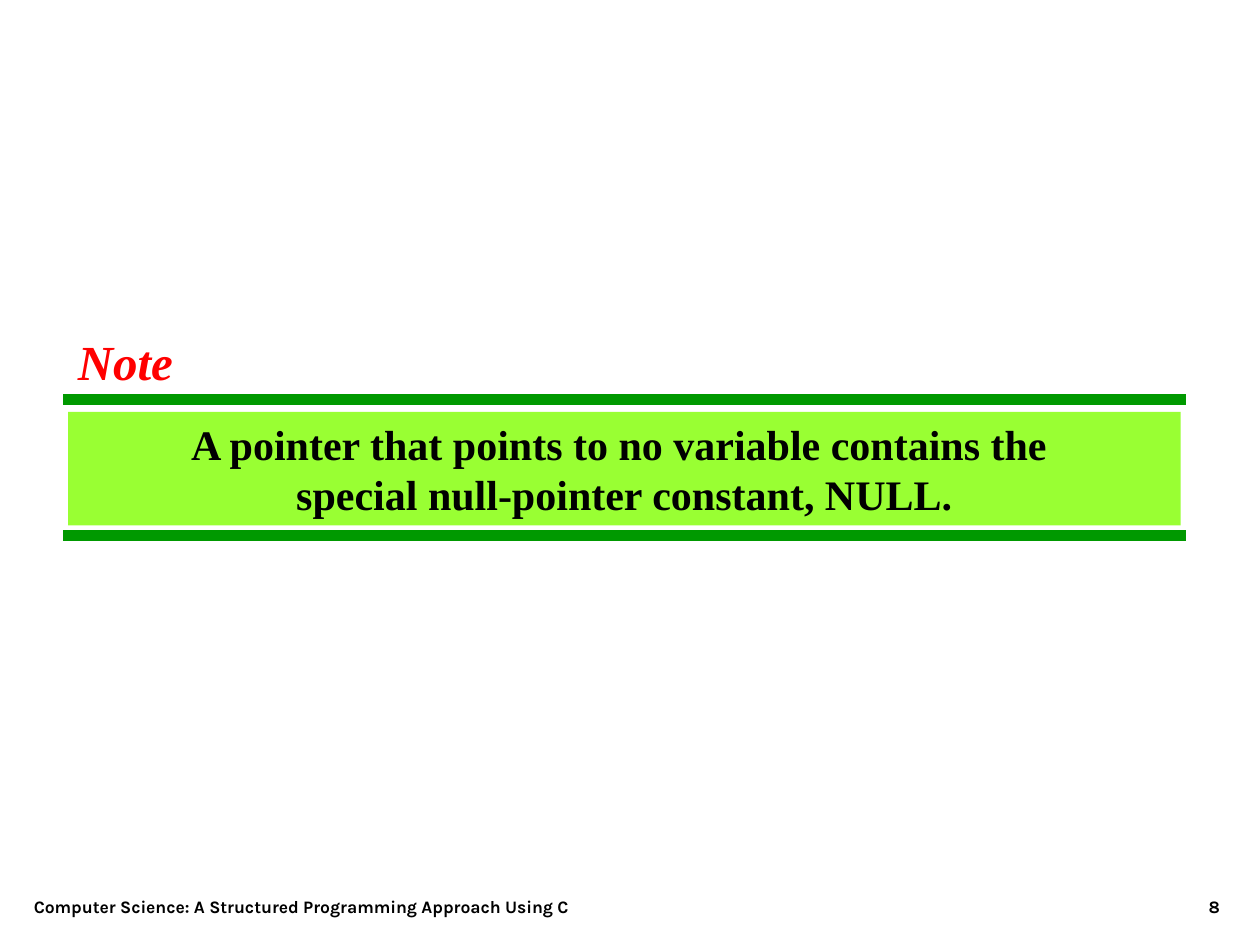
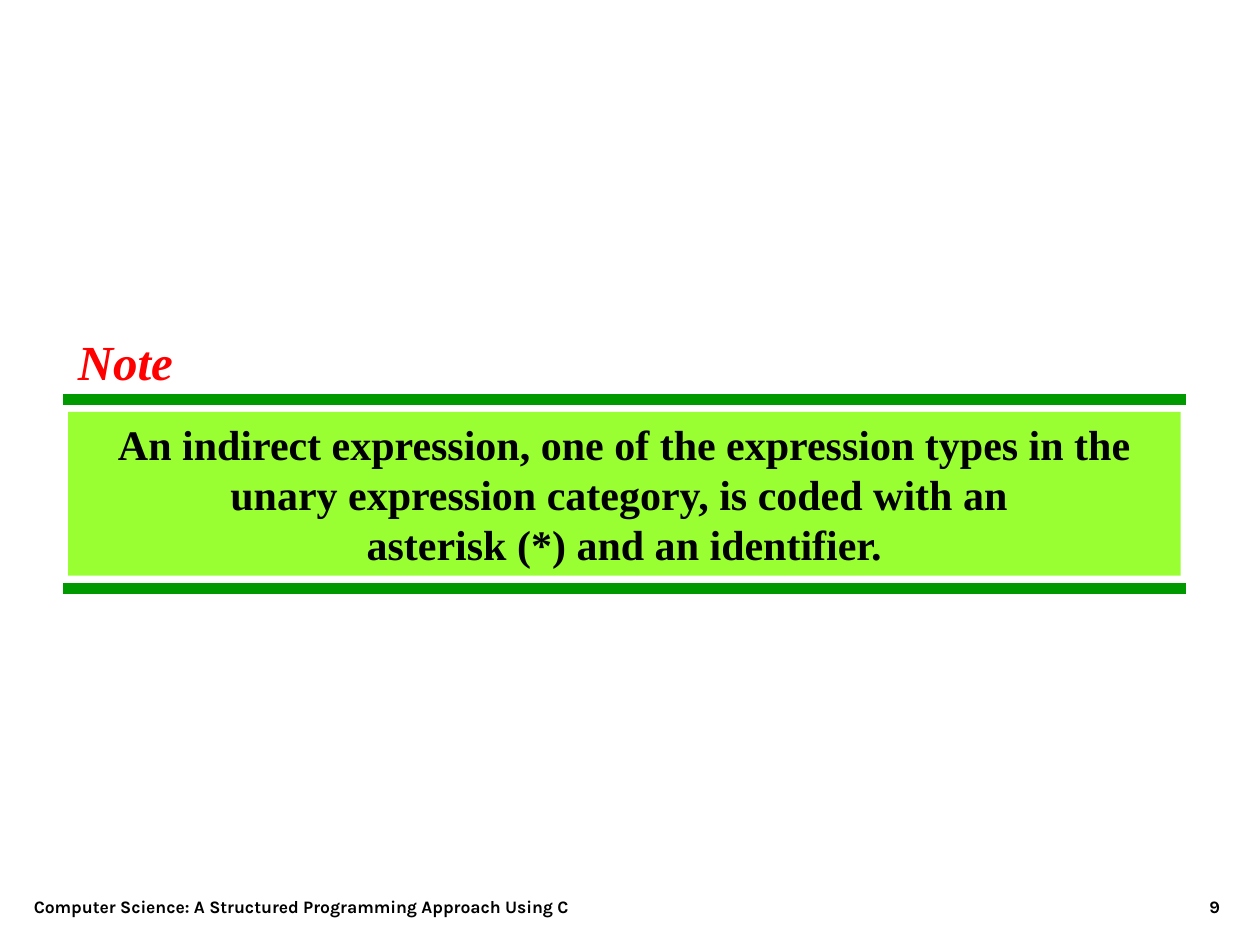
import pptx
import pptx.util
import pptx.dml.color
import pptx.enum.shapes
import pptx.enum.text
import pptx.oxml.ns
from lxml import etree

Inches = pptx.util.Inches
ALIGN = pptx.enum.text.PP_ALIGN
ANCHOR = pptx.enum.text.MSO_ANCHOR
FIT = pptx.enum.text.MSO_AUTO_SIZE

# Content: slide number, text, count of text lines, height of lower rule
NOTES = [
    (8, "A pointer that points to no variable contains the \n"
        "special null-pointer constant, NULL.", 2, 4.25),
    (9, "An indirect expression, one of the expression types in the "
        "unary expression category, is coded with an \n"
        "asterisk (*) and an identifier.", 3, 4.67),
]
TITLE = "Note"
FOOTER = "Computer Science: A Structured Programming Approach Using C"

# Shared look
COLORS = {"text": "000000", "title": "FF0000", "rule": "009900", "box": "99FF33"}
STYLES = {
    "foot": ({"name": "Karla", "size": pptx.util.Pt(10), "bold": True}, "text"),
    "title": ({"name": "Times New Roman", "size": pptx.util.Pt(28),
               "bold": True, "italic": True}, "title"),
    "body": ({"name": "Times New Roman", "size": pptx.util.Pt(24), "bold": True}, "text"),
}
LEFT, RIGHT, TOP_RULE = 0.5, 9.41, 3.17
TITLE_AREA = (0.5, 2.58, 0.99, 0.57)
FOOT_TOP, FOOT_HIGH = 6.83, 0.5
BOX_TOP, PAD, LINE_HIGH = 3.27, 0.1, 0.4


def color(name):
    return pptx.dml.color.RGBColor.from_string(COLORS[name])


def write(shape, text, style, align, **frame):
    """Put one styled paragraph into a shape."""
    for key, value in frame.items():
        setattr(shape.text_frame, key, value)
    para = shape.text_frame.paragraphs[0]
    para.text = text
    para.alignment = align
    look, tint = STYLES[style]
    for run in para.runs:
        for key, value in look.items():
            setattr(run.font, key, value)
        run.font.color.rgb = color(tint)


def add_text(slide, area, *args, **frame):
    write(slide.shapes.add_textbox(*map(Inches, area)), *args, **frame)


def add_rule(slide, y):
    rule = slide.shapes.add_connector(
        pptx.enum.shapes.MSO_CONNECTOR.STRAIGHT,
        Inches(LEFT), Inches(y), Inches(RIGHT), Inches(y))
    rule.line.color.rgb = color("rule")
    rule.line.width = pptx.util.Pt(6)
    etree.SubElement(rule._element.spPr, pptx.oxml.ns.qn("a:effectLst"))


def add_box(slide, text, count):
    area = (0.54, BOX_TOP, 8.83, PAD + count * LINE_HIGH)
    box = slide.shapes.add_shape(
        pptx.enum.shapes.MSO_SHAPE.RECTANGLE, *map(Inches, area))
    box.shadow.inherit = False
    box.fill.solid()
    box.fill.fore_color.rgb = color("box")
    box.line.fill.background()
    write(box, text, "body", ALIGN.CENTER, word_wrap=True,
          vertical_anchor=ANCHOR.TOP, auto_size=FIT.SHAPE_TO_FIT_TEXT)


def add_footer(slide, number):
    for x, wide, text, align in ((0.17, 5.67, FOOTER, ALIGN.LEFT),
                                 (7.7, 2.08, str(number), ALIGN.RIGHT)):
        add_text(slide, (x, FOOT_TOP, wide, FOOT_HIGH), text, "foot", align,
                 word_wrap=True, vertical_anchor=ANCHOR.BOTTOM)


def main():
    deck = pptx.Presentation()
    deck.slide_width, deck.slide_height = Inches(10), Inches(7.5)
    for number, text, count, low_rule in NOTES:
        slide = deck.slides.add_slide(deck.slide_layouts[6])
        add_footer(slide, number)
        for y in (TOP_RULE, low_rule):
            add_rule(slide, y)
        add_box(slide, text, count)
        add_text(slide, TITLE_AREA, TITLE, "title", ALIGN.CENTER,
                 word_wrap=False, auto_size=FIT.NONE)
    deck.save("out.pptx")


if __name__ == "__main__":
    main()
